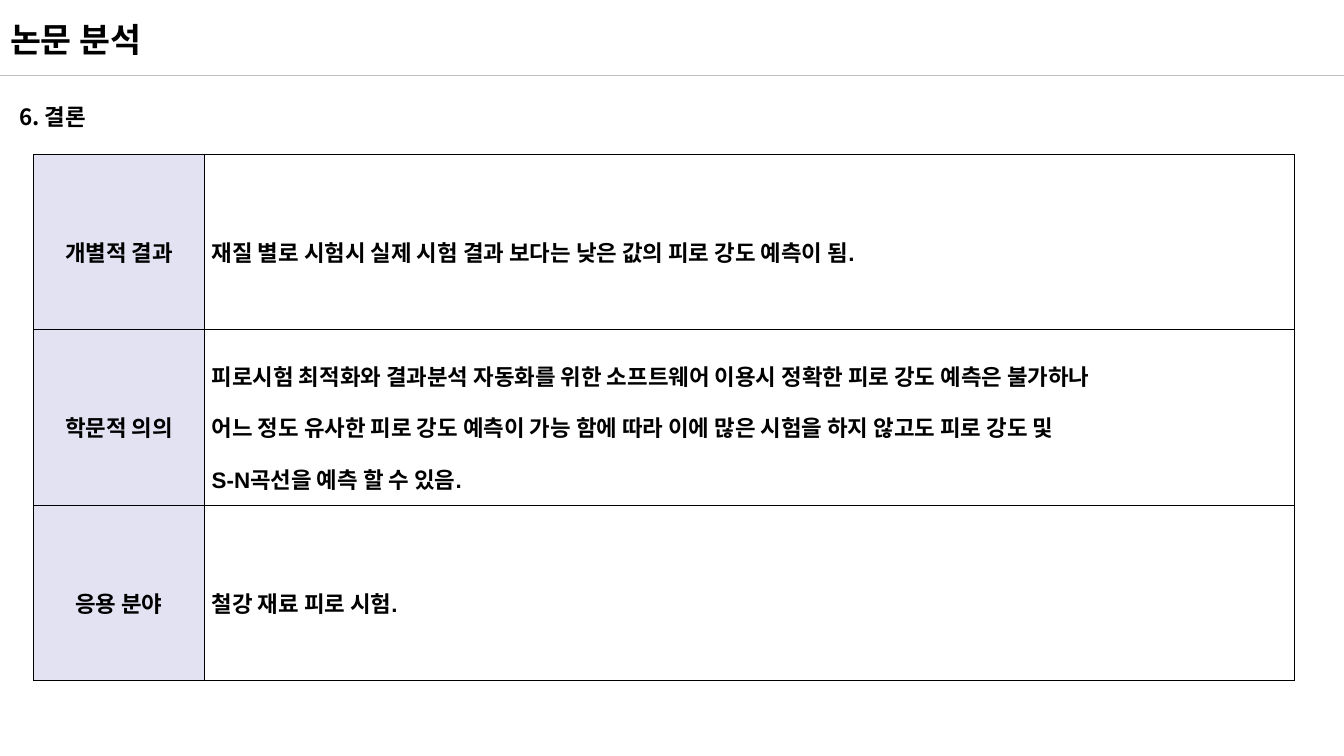
"""Build the conclusion slide of a paper analysis: a title, a heading and a table."""
from dataclasses import dataclass

from lxml import etree
from pptx import Presentation
from pptx import util as u
from pptx.dml.color import RGBColor
from pptx.enum import shapes, text
from pptx.oxml import ns


@dataclass(frozen=True)
class Theme:
    """Colours, fonts and sizes of the slide."""
    ink: str = "000000"
    rule: str = "BFBFBF"
    label_fill: str = "E3E2F2"
    korean: str = "Noto Sans CJK KR"
    latin: str = "Arial"
    title_size: float = 24
    body_size: float = 16
    rule_width: float = 0.5
    border_width: float = 0.28


@dataclass(frozen=True)
class Finding:
    """A table row: its label and the lines beside it."""
    label: str
    lines: tuple[str, ...]


THEME = Theme()
ALIGN = text.PP_ALIGN
SLIDE_WIDTH = 13.33
COLUMN_WIDTHS = (1.7, 10.81)
ROW_HEIGHT = 1.74
FINDINGS = (
    Finding("개별적 결과", ("재질 별로 시험시 실제 시험 결과 보다는 낮은 값의 피로 강도 예측이 됨.",)),
    Finding("학문적 의의", (
        "피로시험 최적화와 결과분석 자동화를 위한 소프트웨어 이용시 정확한 피로 강도 예측은 불가하나",
        "어느 정도 유사한 피로 강도 예측이 가능 함에 따라 이에 많은 시험을 하지 않고도 피로 강도 및",
        "S-N곡선을 예측 할 수 있음.",
    )),
    Finding("응용 분야", ("철강 재료 피로 시험.",)),
)


def write(frame, *lines: str, size: float = THEME.body_size, latin: str = THEME.korean,
          align=ALIGN.LEFT, spacing: float = 1.0) -> None:
    """Fill a text frame with one bold paragraph for each line."""
    frame.word_wrap = True
    for index, line in enumerate(lines):
        para = frame.add_paragraph() if index else frame.paragraphs[0]
        para.alignment = align
        para.line_spacing = spacing
        span = para.add_run()
        span.text = line
        span.font.size = u.Pt(size)
        span.font.bold = True
        span.font.color.rgb = RGBColor.from_string(THEME.ink)
        span.font.name = latin
        east_asian = etree.SubElement(span.font._element, ns.qn("a:ea"))
        east_asian.set("typeface", THEME.korean)


def place(shape, left: float, top: float, width: float, height: float) -> None:
    """Position a shape, in inches."""
    shape.left, shape.top = u.Inches(left), u.Inches(top)
    shape.width, shape.height = u.Inches(width), u.Inches(height)


def add_rule(page, top: float) -> None:
    """Draw a thin line across the page."""
    rule = page.shapes.add_connector(shapes.MSO_CONNECTOR.STRAIGHT, 0, u.Inches(top),
                                     u.Inches(SLIDE_WIDTH), u.Inches(top))
    rule.line.color.rgb = RGBColor.from_string(THEME.rule)
    rule.line.width = u.Pt(THEME.rule_width)
    etree.SubElement(rule._element.spPr, ns.qn("a:effectLst"))


def format_cell(cell, fill: str | None) -> None:
    """Set the borders, margins and fill of a cell."""
    properties = cell._tc.get_or_add_tcPr()
    for side in ("lnL", "lnR", "lnT", "lnB"):
        border = etree.SubElement(properties, ns.qn(f"a:{side}"), w=str(u.Pt(THEME.border_width)))
        paint = etree.SubElement(border, ns.qn("a:solidFill"))
        etree.SubElement(paint, ns.qn("a:srgbClr"), val=THEME.ink)
    cell.margin_left = cell.margin_right = u.Inches(0.07)
    cell.margin_top = cell.margin_bottom = u.Inches(0.02)
    cell.vertical_anchor = text.MSO_ANCHOR.MIDDLE
    if fill:
        cell.fill.solid()
        cell.fill.fore_color.rgb = RGBColor.from_string(fill)
    else:
        cell.fill.background()


def add_findings(page, left: float, top: float) -> None:
    """Add the table of findings."""
    table = page.shapes.add_table(
        len(FINDINGS), len(COLUMN_WIDTHS), u.Inches(left), u.Inches(top),
        u.Inches(sum(COLUMN_WIDTHS)), u.Inches(ROW_HEIGHT * len(FINDINGS))).table
    table.first_row = table.horz_banding = False
    for column, width in zip(table.columns, COLUMN_WIDTHS):
        column.width = u.Inches(width)
    for row, finding in zip(table.rows, FINDINGS):
        row.height = u.Inches(ROW_HEIGHT)
        label, detail = row.cells
        format_cell(label, THEME.label_fill)
        format_cell(detail, None)
        write(label.text_frame, finding.label, latin=THEME.latin, align=ALIGN.CENTER, spacing=1.6)
        write(detail.text_frame, *finding.lines, latin=THEME.latin, align=ALIGN.JUSTIFY, spacing=1.6)


def main() -> None:
    """Build and save the deck."""
    deck = Presentation()
    deck.slide_width, deck.slide_height = u.Inches(SLIDE_WIDTH), u.Inches(7.5)
    page = deck.slides.add_slide(deck.slide_layouts[5])
    add_rule(page, 0.75)

    title = page.shapes.title
    place(title, 0, 0.14, 12.84, 0.5)
    title.text_frame.vertical_anchor = text.MSO_ANCHOR.TOP
    title.text_frame.auto_size = text.MSO_AUTO_SIZE.NONE
    write(title.text_frame, "논문 분석", size=THEME.title_size)

    heading = page.shapes.add_textbox(0, 0, 0, 0)
    place(heading, 0.09, 0.84, 12.85, 0.91)
    write(heading.text_frame, "6. 결론", spacing=1.5)

    add_findings(page, 0.33, 1.53)
    deck.save("out.pptx")


if __name__ == "__main__":
    main()
